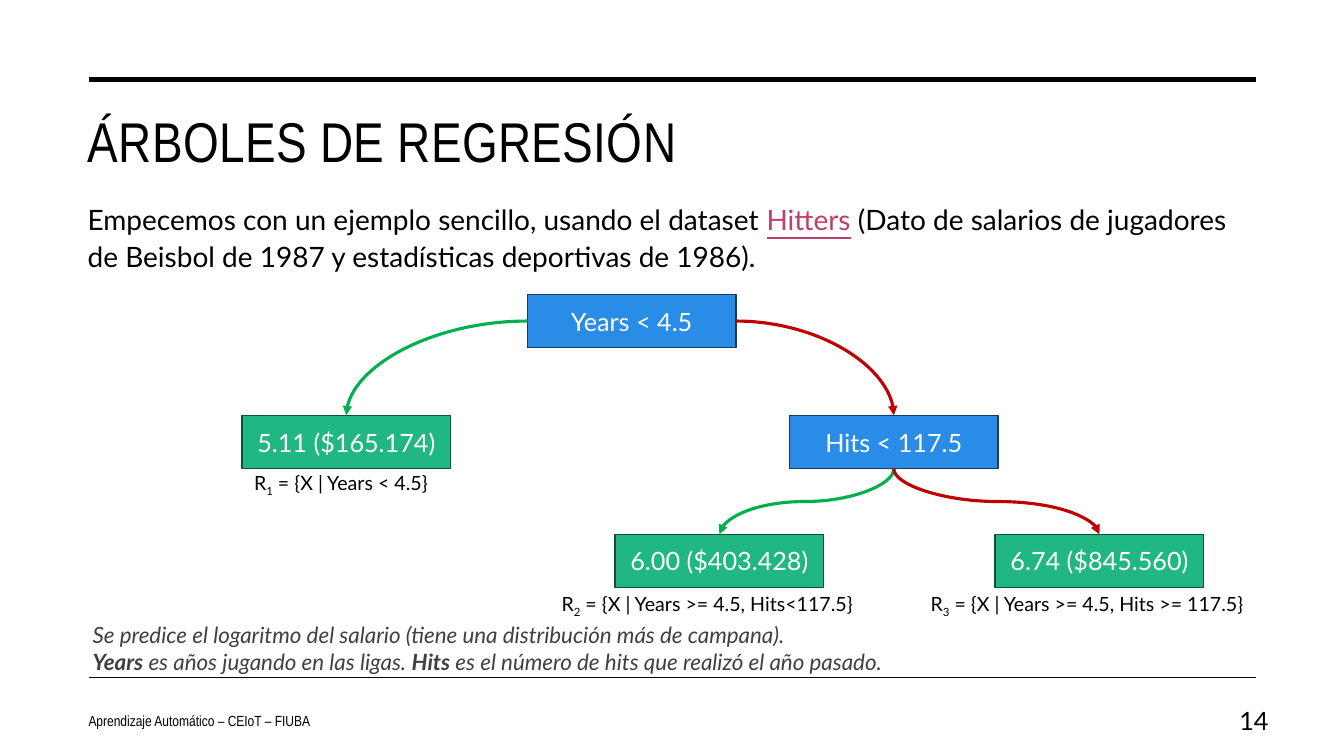
from dataclasses import dataclass

from lxml import etree
from pptx import Presentation
from pptx import util as u
from pptx.dml.color import RGBColor
from pptx.enum import shapes, text
from pptx.oxml.ns import qn

PX = 9144
NODE_WIDTH, NODE_HEIGHT = 207, 53


@dataclass(frozen=True)
class Theme:
    """Colours, fonts and type sizes of the slide."""
    ink: str = "000000"
    paper: str = "FFFFFF"
    muted: str = "404040"
    link: str = "BF3F6C"
    split: tuple = ("298CE7", "123D65")
    leaf: tuple = ("21B782", "0E5039")
    yes: str = "00B050"
    no: str = "C00000"
    heading_font: str = "Arial Narrow"
    body_font: str = "Lato"
    title: float = 40
    body: float = 20
    node: float = 18
    note: float = 16
    region: float = 14
    footer: float = 10.5


THEME = Theme()


def px(*lengths):
    """Turn pixel lengths into EMU."""
    return [u.Emu(round(length * PX)) for length in lengths]


def add_run(paragraph, wording, size, color=THEME.ink, name=THEME.body_font,
            bold=None, italic=None, underline=None, **attributes):
    """Add one formatted run to a paragraph."""
    run = paragraph.add_run()
    run.text = wording
    font = run.font
    font.size, font.name = u.Pt(size), name
    font.bold, font.italic, font.underline = bold, italic, underline
    font.color.rgb = RGBColor.from_string(color)
    for key, value in attributes.items():
        run._r.get_or_add_rPr().set(key, str(value))


def add_text_box(slide, box, anchor=text.MSO_ANCHOR.TOP):
    """Add an empty wrapping text box and return its frame."""
    frame = slide.shapes.add_textbox(*px(*box)).text_frame
    frame.word_wrap = True
    frame.vertical_anchor = anchor
    return frame


def style_line(connector, color, width):
    """Colour a connector and take its shadow away."""
    connector.line.color.rgb = RGBColor.from_string(color)
    connector.line.width = u.Pt(width)
    etree.SubElement(connector._element.spPr, qn("a:effectLst"))


def add_rule(slide, left, top, width, weight):
    """Draw a horizontal rule."""
    rule = slide.shapes.add_connector(
        shapes.MSO_CONNECTOR.STRAIGHT, *px(left, top, left + width, top))
    style_line(rule, THEME.ink, weight)


def add_heading(slide, left, top, width, height):
    """Place the top rule and the title."""
    add_rule(slide, left + 11, top - 22, width - 11, 3.5)
    title = slide.shapes.title
    title.left, title.top, title.width, title.height = px(left, top, width, height)
    frame = title.text_frame
    frame.vertical_anchor = text.MSO_ANCHOR.TOP
    frame.auto_size = text.MSO_AUTO_SIZE.NONE
    paragraph = frame.paragraphs[0]
    paragraph.alignment = text.PP_ALIGN.LEFT
    add_run(paragraph, "ÁRBOLES DE REGRESIÓN", THEME.title,
            name=THEME.heading_font, spc=30)


def add_introduction(slide, *box):
    """Place the opening paragraph."""
    paragraph = add_text_box(slide, box).paragraphs[0]
    paragraph.line_spacing = 1.1
    paragraph.space_before = u.Pt(10)
    add_run(paragraph, "Empecemos con un ejemplo sencillo, usando el dataset ", THEME.body)
    add_run(paragraph, "Hitters", THEME.body, THEME.link, underline=True)
    add_run(paragraph, " (Dato de salarios de jugadores de Beisbol de 1987 "
            "y estadísticas deportivas de 1986).", THEME.body)


def add_node(slide, left, top, wording, colors):
    """Draw one box of the tree."""
    node = slide.shapes.add_shape(
        shapes.MSO_SHAPE.RECTANGLE, *px(left, top, NODE_WIDTH, NODE_HEIGHT))
    node.shadow.inherit = False
    fill, outline = map(RGBColor.from_string, colors)
    node.fill.solid()
    node.fill.fore_color.rgb = fill
    node.line.color.rgb = outline
    node.line.width = u.Pt(1)
    frame = node.text_frame
    frame.word_wrap = True
    frame.vertical_anchor = text.MSO_ANCHOR.MIDDLE
    frame.paragraphs[0].alignment = text.PP_ALIGN.CENTER
    add_run(frame.paragraphs[0], wording, THEME.node, THEME.paper)


def add_region(slide, left, top, width, index, condition):
    """Write the region that belongs to a leaf."""
    frame = add_text_box(slide, (left, top, width, 35), text.MSO_ANCHOR.MIDDLE)
    frame.word_wrap = False
    frame.auto_size = text.MSO_AUTO_SIZE.SHAPE_TO_FIT_TEXT
    frame.margin_left, frame.margin_top, frame.margin_right, frame.margin_bottom = px(6, 6, 6, 6)
    paragraph = frame.paragraphs[0]
    add_run(paragraph, "R", THEME.region)
    add_run(paragraph, index, THEME.region, baseline=-25000)
    add_run(paragraph, f" = {{X | {condition}}}", THEME.region)


def style_branch(connector, color):
    """Format a branch and give it an arrowhead."""
    style_line(connector, color, 2.25)
    line = connector.line._get_or_add_ln()
    etree.SubElement(line, qn("a:tailEnd"), type="triangle")


def add_side_branch(slide, start, end, color):
    """Curve from the side of a node to the top of another."""
    branch = slide.shapes.add_connector(shapes.MSO_CONNECTOR.CURVE, *px(*start, *end))
    branch._element.spPr.find(qn("a:prstGeom")).set("prst", "curvedConnector2")
    style_branch(branch, color)


def add_lower_branch(slide, start, end, color):
    """Curve from the bottom of a node to the top of another."""
    middle_x, middle_y = (start[0] + end[0]) / 2, (start[1] + end[1]) / 2
    half_run, half_drop = (end[0] - start[0]) / 2, (end[1] - start[1]) / 2
    branch = slide.shapes.add_connector(shapes.MSO_CONNECTOR.CURVE, *px(
        middle_x - half_drop, middle_y + half_run,
        middle_x + half_drop, middle_y - half_run))
    branch._element.spPr.find(qn("a:xfrm")).set("rot", "5400000")
    style_branch(branch, color)


def add_tree(slide, left, top):
    """Place the nodes, branches and regions of the tree."""
    center = NODE_WIDTH / 2
    root = (left + 283, top)
    hits = (left + 543, top + 120)
    low, medium, high = (left, top + 120), (left + 370, top + 238), (left + 747, top + 238)
    for place, wording, colors in (
            (root, "Years < 4.5", THEME.split),
            (hits, "Hits < 117.5", THEME.split),
            (low, "5.11 ($165.174)", THEME.leaf),
            (medium, "6.00 ($403.428)", THEME.leaf),
            (high, "6.74 ($845.560)", THEME.leaf)):
        add_node(slide, *place, wording, colors)
    for edge, child, color in ((0, low, THEME.yes), (NODE_WIDTH, hits, THEME.no)):
        add_side_branch(slide, (root[0] + edge, root[1] + NODE_HEIGHT / 2),
                        (child[0] + center, child[1]), color)
    for child, color in ((medium, THEME.yes), (high, THEME.no)):
        add_lower_branch(slide, (hits[0] + center, hits[1] + NODE_HEIGHT),
                         (child[0] + center, child[1]), color)
    add_region(slide, left + 6, top + 171, 211, "1", "Years < 4.5")
    add_region(slide, left + 311, top + 291, 324, "2", "Years >= 4.5, Hits<117.5")
    add_region(slide, left + 677, top + 291, 348, "3", "Years >= 4.5, Hits >= 117.5")


def add_notes_on_data(slide, *box):
    """Place the two italic lines about the variables."""
    frame = add_text_box(slide, box)
    lines = (
        (("Se predice el logaritmo del salario (tiene una distribución más de campana).", False),),
        (("Years", True), (" es años jugando en las ligas. ", False),
         ("Hits", True), (" es el número de hits que realizó el año pasado.", False)))
    for index, line in enumerate(lines):
        paragraph = frame.add_paragraph() if index else frame.paragraphs[0]
        for wording, bold in line:
            add_run(paragraph, wording, THEME.note, THEME.muted, bold=bold, italic=True)


def add_footer(slide, left, top, width, height):
    """Place the bottom rule, course name and page number."""
    add_rule(slide, left + 10, top - 23, 1158, 1)
    course = add_text_box(slide, (left, top, 496, height), text.MSO_ANCHOR.MIDDLE).paragraphs[0]
    course.space_after = u.Pt(6)
    add_run(course, "Aprendizaje Automático – CEIoT – FIUBA", THEME.footer,
            name=THEME.heading_font)
    number = add_text_box(slide, (left + width - 74, top, 74, height),
                          text.MSO_ANCHOR.MIDDLE).paragraphs[0]
    number.alignment = text.PP_ALIGN.RIGHT
    add_run(number, "14", THEME.node)


def main():
    """Build and save the presentation."""
    presentation = Presentation()
    presentation.slide_width, presentation.slide_height = px(1333, 750)
    slide = presentation.slides.add_slide(presentation.slide_layouts[5])
    add_heading(slide, 77, 101, 1169, 92)
    add_introduction(slide, 77, 193, 1169, 90)
    add_tree(slide, 240, 292)
    add_notes_on_data(slide, 82, 611, 1169, 64)
    add_footer(slide, 78, 695, 1190, 40)
    presentation.save("out.pptx")


if __name__ == "__main__":
    main()
